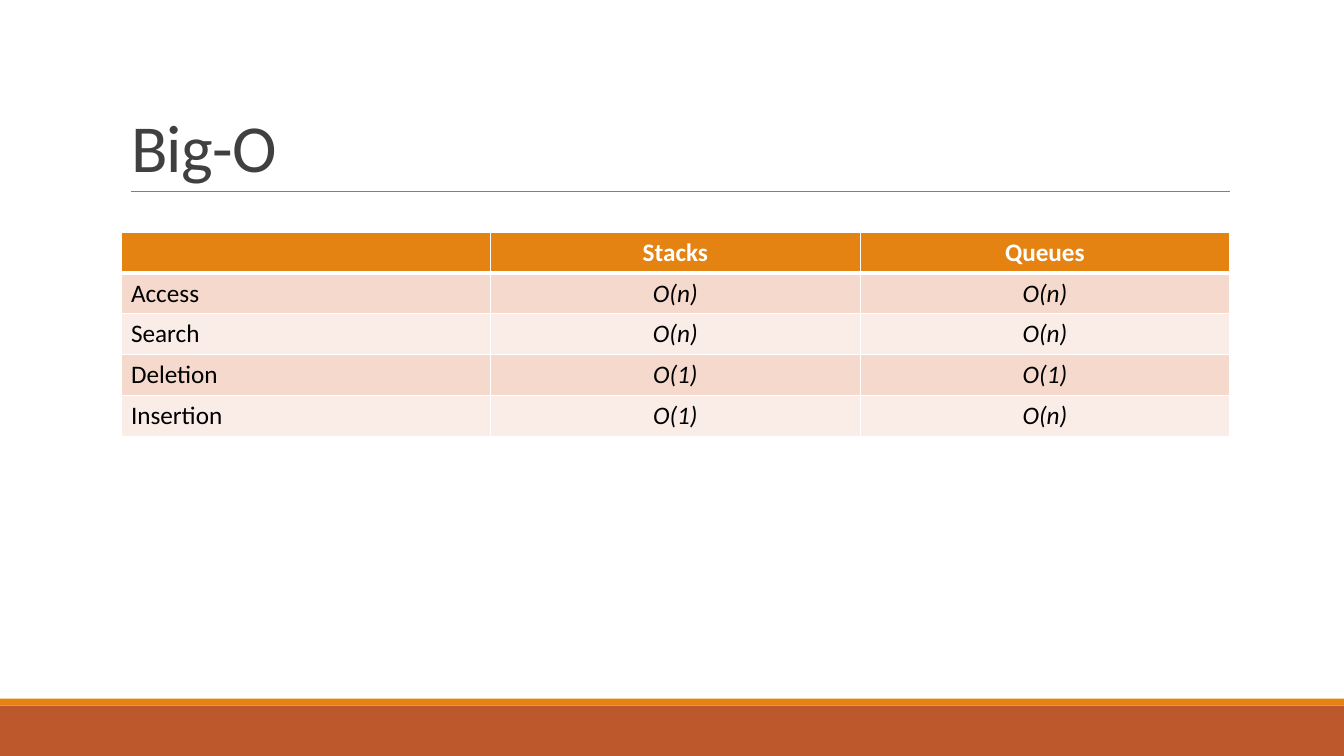
from dataclasses import dataclass

from lxml.etree import SubElement
from pptx import Presentation
from pptx.dml.color import RGBColor
from pptx.enum.shapes import MSO_CONNECTOR, MSO_SHAPE
from pptx.enum.text import MSO_ANCHOR, MSO_AUTO_SIZE, PP_ALIGN
from pptx.oxml.ns import qn
from pptx.util import Pt


@dataclass(frozen=True)
class Theme:
    font: str = "Calibri"
    title_size: int = 48
    body_size: int = 18
    title: str = "404040"
    rule: str = "808080"
    orange: str = "E48312"
    rust: str = "BD582C"
    band_dark: str = "F5D9CC"
    band_light: str = "FAEDE7"
    white: str = "FFFFFF"
    black: str = "000000"


THEME = Theme()
WIDTH, HEIGHT = 960, 540
ROWS = [
    ("", "Stacks", "Queues"),
    ("Access", "O(n)", "O(n)"),
    ("Search", "O(n)", "O(n)"),
    ("Deletion", "O(1)", "O(1)"),
    ("Insertion", "O(1)", "O(n)"),
]


def rgb(color):
    return RGBColor.from_string(color)


def add_run(p, text, size, color, bold=False, italic=False):
    r = p.add_run()
    r.text = text
    f = r.font
    f.name, f.size, f.bold, f.italic = THEME.font, Pt(size), bold, italic
    f.color.rgb = rgb(color)
    return r


def add_band(s, left, top, width, height, color):
    sp = s.shapes.add_shape(MSO_SHAPE.RECTANGLE, Pt(left), Pt(top), Pt(width), Pt(height))
    sp.shadow.inherit = False
    sp.fill.solid()
    sp.fill.fore_color.rgb = rgb(color)
    sp.line.fill.background()


def add_footer(s, left, top, width, height):
    """Draw a rust band topped by a thin orange strip."""
    strip = 5
    add_band(s, left, top + strip, width, height - strip, THEME.rust)
    add_band(s, left, top, width, strip, THEME.orange)


def add_title(s, text, left, top, width, height):
    """Set the title at the bottom of its box, with a rule beneath it."""
    inset = 7.2
    sp = s.shapes.title
    sp.left, sp.top, sp.width, sp.height = Pt(left), Pt(top), Pt(width), Pt(height)
    tf = sp.text_frame
    tf.word_wrap = True
    tf.auto_size = MSO_AUTO_SIZE.NONE
    tf.vertical_anchor = MSO_ANCHOR.BOTTOM
    p = tf.paragraphs[0]
    p.alignment = PP_ALIGN.LEFT
    p.line_spacing = 0.85
    r = add_run(p, text, THEME.title_size, THEME.title)
    r.font._element.set("spc", "-50")

    bottom = Pt(top + height)
    rule = s.shapes.add_connector(
        MSO_CONNECTOR.STRAIGHT, Pt(left + inset), bottom, Pt(left + width), bottom)
    rule.line.color.rgb = rgb(THEME.rule)
    rule.line.width = Pt(0.5)
    SubElement(rule._element.spPr, qn("a:effectLst"))


def set_borders(cell, top, bottom):
    """Draw white borders; must run before the cell's fill is set."""
    tc_pr = cell._tc.get_or_add_tcPr()
    for side, width in (("L", 1), ("R", 1), ("T", top), ("B", bottom)):
        ln = SubElement(tc_pr, qn(f"a:ln{side}"), w=str(Pt(width)))
        fill = SubElement(ln, qn("a:solidFill"))
        SubElement(fill, qn("a:srgbClr"), val=THEME.white)


def add_complexity_table(s, rows, left, top, width, height):
    table = s.shapes.add_table(
        len(rows), len(rows[0]), Pt(left), Pt(top), Pt(width), Pt(height)).table
    for column in table.columns:
        column.width = Pt(width / len(rows[0]))
    for i, values in enumerate(rows):
        table.rows[i].height = Pt(height / len(rows))
        header = i == 0
        band = THEME.band_dark if i % 2 else THEME.band_light
        for j, text in enumerate(values):
            cell = table.cell(i, j)
            set_borders(cell, top=3 if i == 1 else 1, bottom=3 if header else 1)
            cell.fill.solid()
            cell.fill.fore_color.rgb = rgb(THEME.orange if header else band)
            p = cell.text_frame.paragraphs[0]
            p.alignment = PP_ALIGN.CENTER if j else PP_ALIGN.LEFT
            if text:
                add_run(p, text, THEME.body_size, THEME.white if header else THEME.black,
                        bold=header, italic=j > 0 and not header)


def main():
    prs = Presentation()
    prs.slide_width, prs.slide_height = Pt(WIDTH), Pt(HEIGHT)
    s = prs.slides.add_slide(prs.slide_layouts[5])
    add_footer(s, 0, HEIGHT - 41, WIDTH, 41)
    add_title(s, "Big-O", 86.4, 22.4, 792, 114.4)
    add_complexity_table(s, ROWS, 86.4, 165.8, 792, 146)
    prs.save("out.pptx")


if __name__ == "__main__":
    main()
